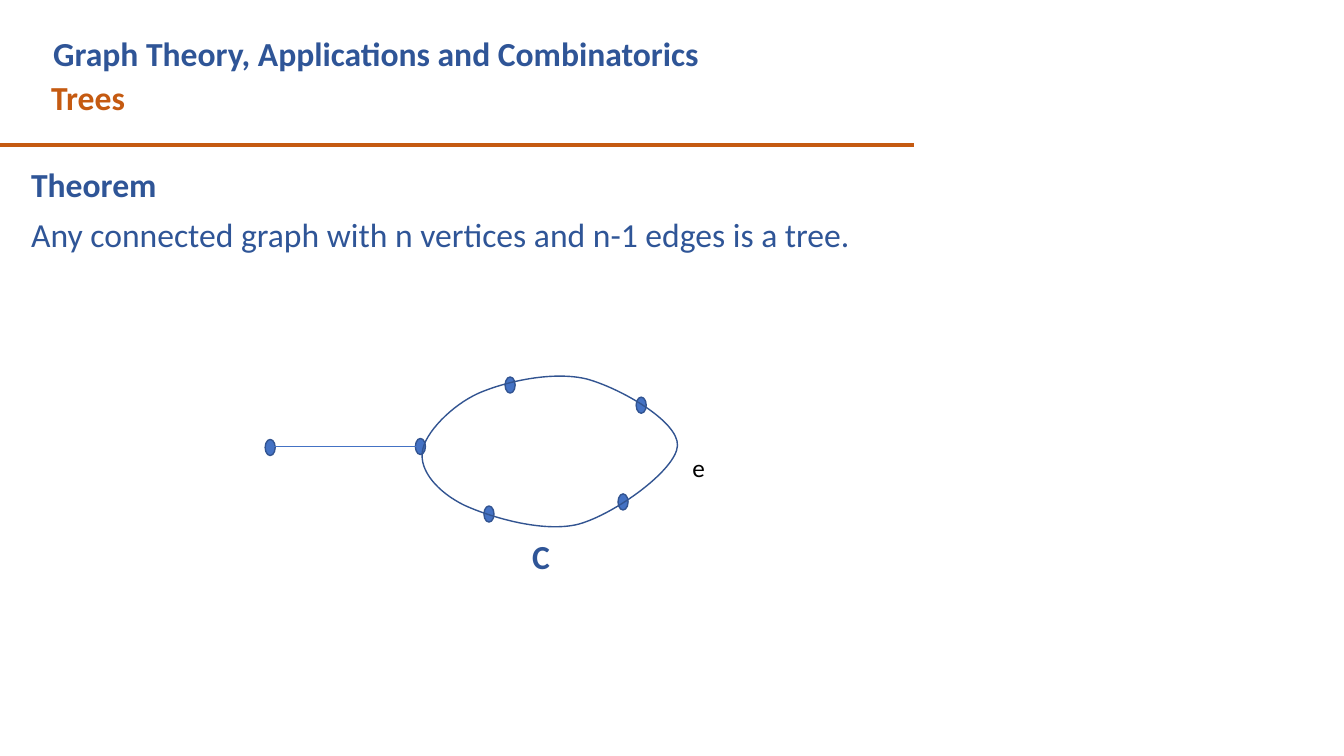
"""Build a slide on the tree theorem, with a graph that contains a cycle."""
from lxml.etree import SubElement
from pptx import Presentation
from pptx.dml.color import RGBColor
from pptx.enum.shapes import MSO_CONNECTOR, MSO_SHAPE
from pptx.enum.text import PP_ALIGN
from pptx.oxml.ns import qn
from pptx.util import Inches, Pt

NAVY = "2F5597"
ORANGE = "C55A11"
BLUE = "4472C4"
OUTLINE = "325491"


def rgb(value):
    return RGBColor.from_string(value)


def add_text(lines, left, top, width, height, size=24, color=NAVY, bold=(True,),
             align=PP_ALIGN.LEFT, line_spacing=1.0, gap=0):
    box = slide.shapes.add_textbox(Inches(left), Inches(top), Inches(width), Inches(height))
    frame = box.text_frame
    frame.word_wrap = True
    frame.text = lines
    for index, paragraph in enumerate(frame.paragraphs):
        paragraph.alignment = align
        paragraph.line_spacing = line_spacing
        paragraph.space_before = Pt(gap if index else 0)
        font = paragraph.runs[0].font
        font.name = "Calibri"
        font.size = Pt(size)
        font.bold = bold[index]
        font.color.rgb = rgb(color)


presentation = Presentation()
presentation.slide_width = Inches(13.33)
presentation.slide_height = Inches(7.5)
slide = presentation.slides.add_slide(presentation.slide_layouts[6])

add_text("Trees", 0.41, 0.71, 8.75, 0.5, color=ORANGE)
add_text("Graph Theory, Applications and Combinatorics", 0.43, 0.28, 8.2, 0.5)
add_text("Theorem\nAny connected graph with n vertices and n-1 edges is a tree.",
         0.21, 1.62, 10.95, 3.15, bold=(True, False), align=PP_ALIGN.JUSTIFY,
         line_spacing=0.9, gap=10)

for left, top in [(6.31, 3.94), (4.12, 4.35), (2.63, 4.36),
                  (5.01, 3.74), (4.8, 5.02), (6.13, 4.9)]:
    vertex = slide.shapes.add_shape(
        MSO_SHAPE.OVAL, Inches(left), Inches(top), Inches(0.1), Inches(0.16))
    vertex.shadow.inherit = False
    vertex.fill.solid()
    vertex.fill.fore_color.rgb = rgb(BLUE)
    vertex.line.color.rgb = rgb(OUTLINE)
    vertex.line.width = Pt(1)

for start, end, y, color, width in [(-0.01, 9.07, 1.44, ORANGE, 3),
                                    (2.7, 4.19, 4.43, BLUE, 0.5)]:
    connector = slide.shapes.add_connector(
        MSO_CONNECTOR.STRAIGHT, Inches(start), Inches(y), Inches(end), Inches(y))
    connector.line.color.rgb = rgb(color)
    connector.line.width = Pt(width)
    SubElement(connector._element.spPr, qn("a:effectLst"))

cycle_start = (4.19, 4.48)
cycle_controls = [
    (4.21, 4.3), (4.48, 4.02), (4.75, 3.9),
    (5.03, 3.78), (5.49, 3.68), (5.82, 3.76),
    (6.15, 3.85), (6.73, 4.18), (6.72, 4.42),
    (6.71, 4.66), (6.1, 5.1), (5.74, 5.2),
    (5.39, 5.29), (4.86, 5.13), (4.6, 5.01),
    (4.34, 4.88), (4.16, 4.67), cycle_start,
]
builder = slide.shapes.build_freeform(*map(Inches, cycle_start))
builder.add_line_segments(
    [(Inches(x), Inches(y)) for x, y in cycle_controls], close=True)
cycle = builder.convert_to_shape()
cycle.shadow.inherit = False
cycle.fill.background()
cycle.line.color.rgb = rgb(OUTLINE)
cycle.line.width = Pt(1)

segments = list(cycle._element.iter(qn("a:lnTo")))
for first in range(0, len(segments), 3):
    curve, *others = segments[first:first + 3]
    curve.tag = qn("a:cubicBezTo")
    for segment in others:
        curve.append(segment[0])
        segment.getparent().remove(segment)

add_text("e", 6.77, 4.44, 0.56, 0.4, size=18, color="000000", bold=(False,))
add_text("C", 5.18, 5.27, 0.56, 0.5)

presentation.save("out.pptx")
